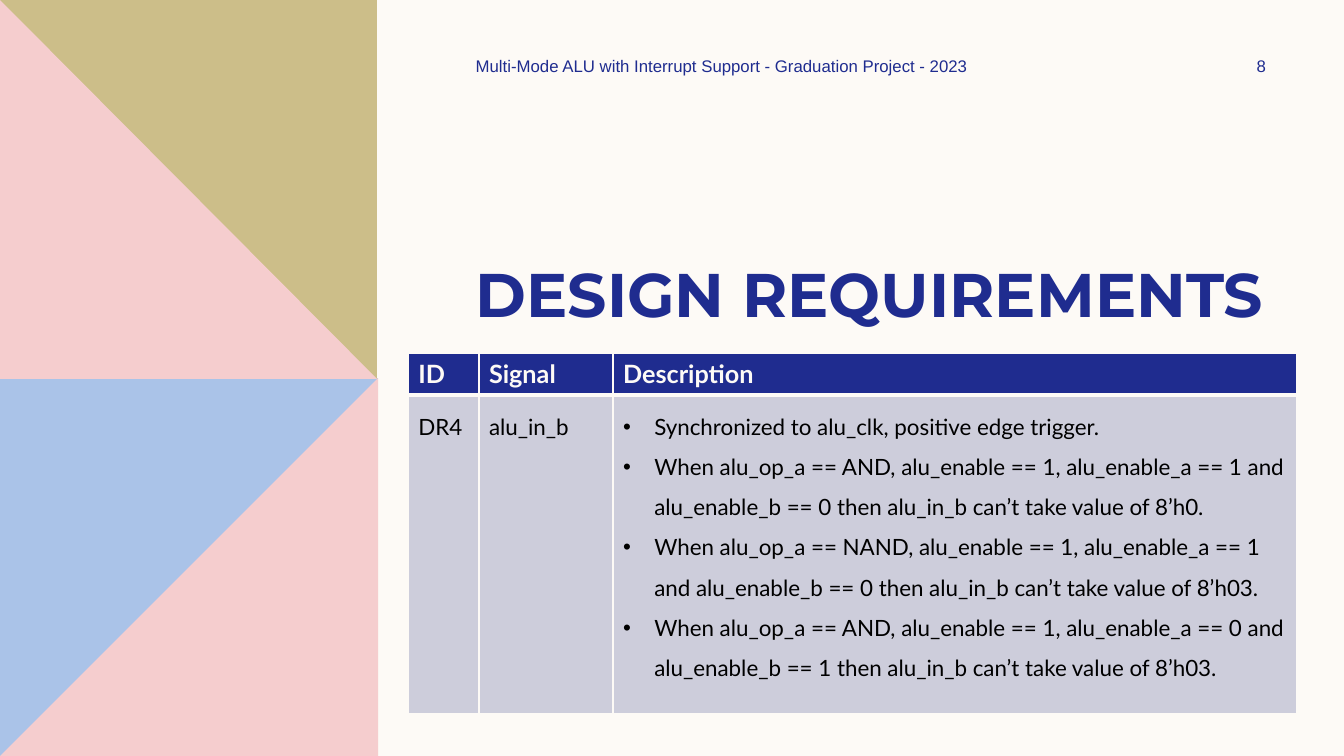
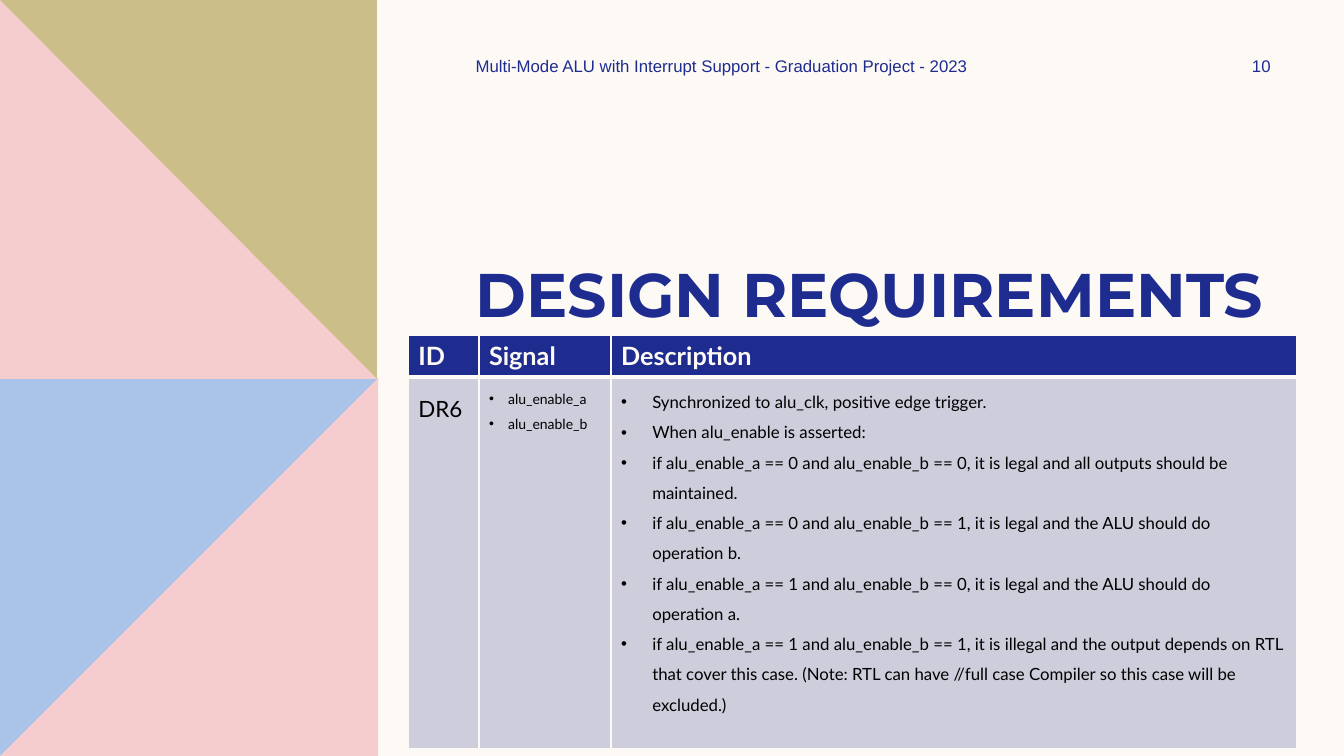
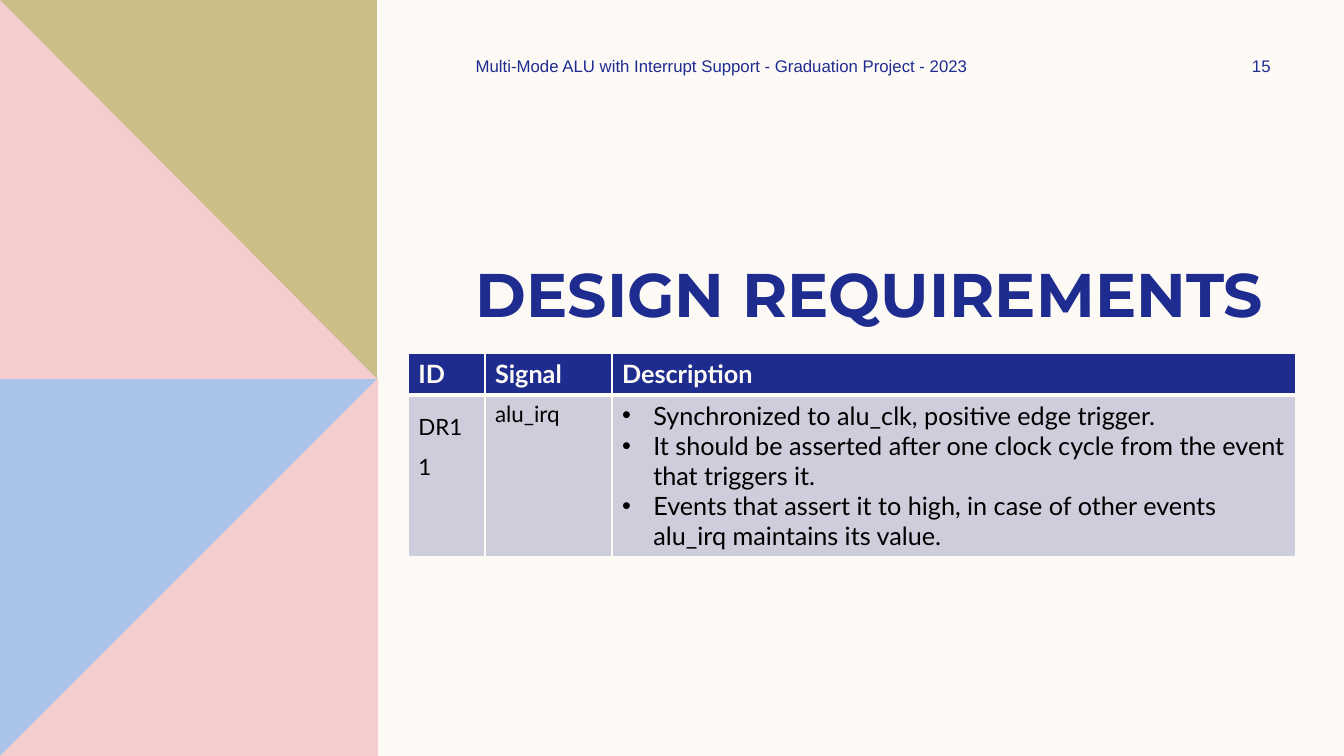
from pptx import Presentation
from pptx.dml.color import RGBColor
from pptx.enum.text import MSO_ANCHOR, PP_ALIGN
from pptx.oxml.ns import qn
from pptx.util import Inches, Pt
from lxml.etree import SubElement

CREAM, NAVY, GREY, BLACK = "FDFAF6", "1F2C8F", "CDCDDB", "000000"
BLUE, PINK, OLIVE = "AAC3E8", "F5CDCE", "CCBE89"

TITLE = "DESIGN REQUIREMENTS"
FOOTER = "Multi-Mode ALU with Interrupt Support - Graduation Project - 2023"
HEADINGS = ["ID", "Signal", "Description"]
HEADER_HEIGHT = 0.41
TABLE_LEFT = 4.05

# Side panel: two squares, each crossed by a pink triangle
PANEL = [
    (BLUE, [(0, 3.75), (3.75, 3.75), (3.75, 7.5), (0, 7.5)]),
    (PINK, [(3.75, 3.75), (3.75, 7.5), (0, 7.5)]),
    (OLIVE, [(0, 0), (3.74, 0), (3.74, 3.76), (0, 3.76)]),
    (PINK, [(0, 0), (3.74, 3.76), (0, 3.76)]),
]

CLOCK = "Synchronized to alu_clk, positive edge trigger."

# Each body cell: lines of text and their format
PAGES = [
    {
        "number": "8", "top": 3.51, "columns": [0.7, 1.33, 6.78], "body_height": 3.16,
        "cells": [
            (["DR4"], {"size": 16, "spacing": 1.5}),
            (["alu_in_b"], {"size": 16, "spacing": 1.5}),
            ([
                CLOCK,
                "When alu_op_a == AND, alu_enable == 1, alu_enable_a == 1 and "
                "alu_enable_b == 0 then alu_in_b can’t take value of 8’h0.",
                "When alu_op_a == NAND, alu_enable == 1, alu_enable_a == 1 and "
                "alu_enable_b == 0 then alu_in_b can’t take value of 8’h03.",
                "When alu_op_a == AND, alu_enable == 1, alu_enable_a == 0 and "
                "alu_enable_b == 1 then alu_in_b can’t take value of 8’h03.",
            ], {"size": 16, "spacing": 1.5, "indent": 0.31}),
        ],
    },
    {
        "number": "10", "top": 3.33, "columns": [0.7, 1.31, 6.8], "body_height": 3.69,
        "cells": [
            (["DR6"], {"size": 16, "spacing": 1.5}),
            (["alu_enable_a", "alu_enable_b"], {"size": 10, "spacing": 1.5, "indent": 0.19}),
            ([
                CLOCK,
                "When alu_enable is asserted:",
                "if alu_enable_a == 0 and alu_enable_b == 0, it is legal and all "
                "outputs should be maintained.",
                "if alu_enable_a == 0 and alu_enable_b == 1, it is legal and the ALU "
                "should do operation b.",
                "if alu_enable_a == 1 and alu_enable_b == 0, it is legal and the ALU "
                "should do operation a.",
                "if alu_enable_a == 1 and alu_enable_b == 1, it is illegal and the "
                "output depends on RTL that cover this case. (Note: RTL can have "
                "//full case Compiler so this case will be excluded.)",
            ], {"size": 12, "spacing": 1.5, "indent": 0.31}),
        ],
    },
    {
        "number": "15", "top": 3.51, "columns": [0.76, 1.26, 6.78], "body_height": 1.6,
        "cells": [
            (["DR11"], {"size": 16, "spacing": 1.5}),
            (["alu_irq"], {"size": 16}),
            ([
                CLOCK,
                "It should be asserted after one clock cycle from the event that triggers it.",
                "Events that assert it to high, in case of other events alu_irq "
                "maintains its value.",
            ], {"size": 18, "indent": 0.31}),
        ],
    },
]


def color(value):
    return RGBColor.from_string(value)


def write(frame, lines, size=12, font="Lato", ink=BLACK, bold=False,
          align=PP_ALIGN.LEFT, spacing=1.0, indent=0):
    """Fill a text frame with one paragraph per line, bulleted if indented."""
    frame.word_wrap = True
    for index, line in enumerate(lines):
        para = frame.add_paragraph() if index else frame.paragraphs[0]
        para.alignment = align
        para.line_spacing = spacing
        if indent:
            properties = para._p.get_or_add_pPr()
            properties.set("marL", str(Inches(indent)))
            properties.set("indent", str(-Inches(indent)))
            SubElement(properties, qn("a:buFont"), typeface="Arial")
            SubElement(properties, qn("a:buChar"), char="•")
        span = para.add_run()
        span.text = line
        span.font.size = Pt(size)
        span.font.name = font
        span.font.bold = bold
        span.font.color.rgb = color(ink)


deck = Presentation()
deck.slide_width, deck.slide_height = Inches(13.33), Inches(7.5)
background = deck.slide_master.background.fill
background.solid()
background.fore_color.rgb = color(CREAM)

for content in PAGES:
    page = deck.slides.add_slide(deck.slide_layouts[6])

    for fill, points in PANEL:
        corners = [(Inches(x), Inches(y)) for x, y in points]
        builder = page.shapes.build_freeform(*corners[0])
        builder.add_line_segments(corners[1:], close=True)
        piece = builder.convert_to_shape()
        piece.shadow.inherit = False
        piece.fill.solid()
        piece.fill.fore_color.rgb = color(fill)
        piece.line.fill.background()

    small = {"size": 12, "font": "Arial", "ink": NAVY}
    labels = [
        (TITLE, (4.62, 2.49, 8.81, 0.84),
         {"size": 44, "font": "Montserrat", "ink": NAVY, "bold": True}),
        (FOOTER, (4.62, 0.5, 6, 0.3), small),
        (content["number"], (11.97, 0.5, 1.08, 0.3), {**small, "align": PP_ALIGN.CENTER}),
    ]
    for text, place, style in labels:
        box = page.shapes.add_textbox(*map(Inches, place))
        box.text_frame.vertical_anchor = MSO_ANCHOR.MIDDLE
        write(box.text_frame, [text], **style)

    heights = [HEADER_HEIGHT, content["body_height"]]
    table = page.shapes.add_table(
        2, 3, Inches(TABLE_LEFT), Inches(content["top"]),
        Inches(sum(content["columns"])), Inches(sum(heights))).table
    table.horz_banding = False
    for column, width in zip(table.columns, content["columns"]):
        column.width = Inches(width)
    for row, height in zip(table.rows, heights):
        row.height = Inches(height)

    header_style = {"size": 18, "ink": CREAM, "bold": True}
    header = [([heading], header_style) for heading in HEADINGS]
    rows = [
        (header, NAVY, {"L": 1, "R": 1, "T": 1, "B": 3}),
        (content["cells"], GREY, {"L": 1, "R": 1, "T": 3, "B": 1}),
    ]
    for row_index, (cells, fill, borders) in enumerate(rows):
        for column_index, (lines, style) in enumerate(cells):
            cell = table.cell(row_index, column_index)
            write(cell.text_frame, lines, **style)
            properties = cell._tc.get_or_add_tcPr()
            for side, width in borders.items():
                border = SubElement(properties, qn(f"a:ln{side}"), w=str(Pt(width)))
                SubElement(SubElement(border, qn("a:solidFill")), qn("a:srgbClr"), val=CREAM)
            cell.fill.solid()
            cell.fill.fore_color.rgb = color(fill)

deck.save("out.pptx")
